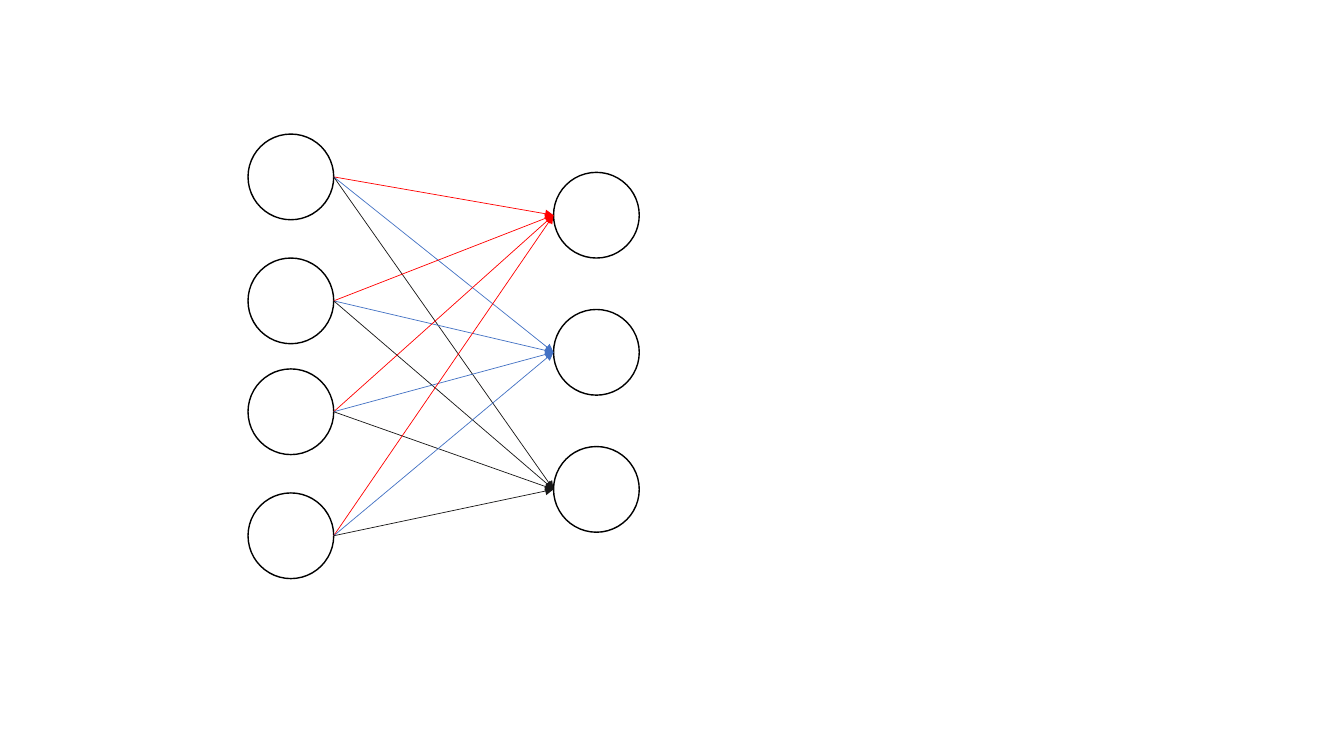
from lxml import etree
from pptx import Presentation
from pptx.dml.color import RGBColor
from pptx.enum.shapes import MSO_CONNECTOR, MSO_SHAPE
from pptx.oxml.ns import qn
from pptx.util import Inches, Pt

ELLIPSE = MSO_SHAPE.OVAL
STRAIGHT = MSO_CONNECTOR.STRAIGHT

COLORS = {
    "node_fill": "FFFFFF",
    "node_line": "000000",
    "red": "FF0000",
    "blue": "4472C4",
    "black": "181717",
}

DIAMETER = 0.85
INPUT_LEFT = 2.46
INPUT_TOPS = [1.33, 2.56, 3.66, 4.89]
OUTPUT_LEFT = 5.49
OUTPUT_TOP = 1.71
OUTPUT_STEP = 1.36
OUTPUT_COLORS = ["red", "blue", "black"]


def color(name):
    return RGBColor.from_string(COLORS[name])


def add_node(slide, left, top):
    node = slide.shapes.add_shape(
        ELLIPSE, Inches(left), Inches(top), Inches(DIAMETER), Inches(DIAMETER))
    node.shadow.inherit = False
    node.fill.solid()
    node.fill.fore_color.rgb = color("node_fill")
    node.line.color.rgb = color("node_line")
    node.line.width = Pt(1)
    return node


def add_arrow(slide, source, target, color_name):
    """Draw an arrow from the right of one node to the left of another."""
    arrow = slide.shapes.add_connector(
        STRAIGHT,
        source.left + source.width, source.top + source.height // 2,
        target.left, target.top + target.height // 2)
    arrow.line.color.rgb = color(color_name)
    arrow.line.width = Pt(0.5)
    properties = arrow.element.spPr
    line = properties.find(qn("a:ln"))
    etree.SubElement(line, qn("a:tailEnd"), type="triangle")
    etree.SubElement(properties, qn("a:effectLst"))


def main():
    presentation = Presentation()
    presentation.slide_width = Inches(13.33)
    presentation.slide_height = Inches(7.5)
    slide = presentation.slides.add_slide(presentation.slide_layouts[6])

    inputs = [add_node(slide, INPUT_LEFT, top) for top in INPUT_TOPS]
    outputs = [add_node(slide, OUTPUT_LEFT, OUTPUT_TOP + row * OUTPUT_STEP)
               for row in range(len(OUTPUT_COLORS))]
    for source in inputs:
        for target, color_name in zip(outputs, OUTPUT_COLORS):
            add_arrow(slide, source, target, color_name)

    presentation.save("out.pptx")


if __name__ == "__main__":
    main()
